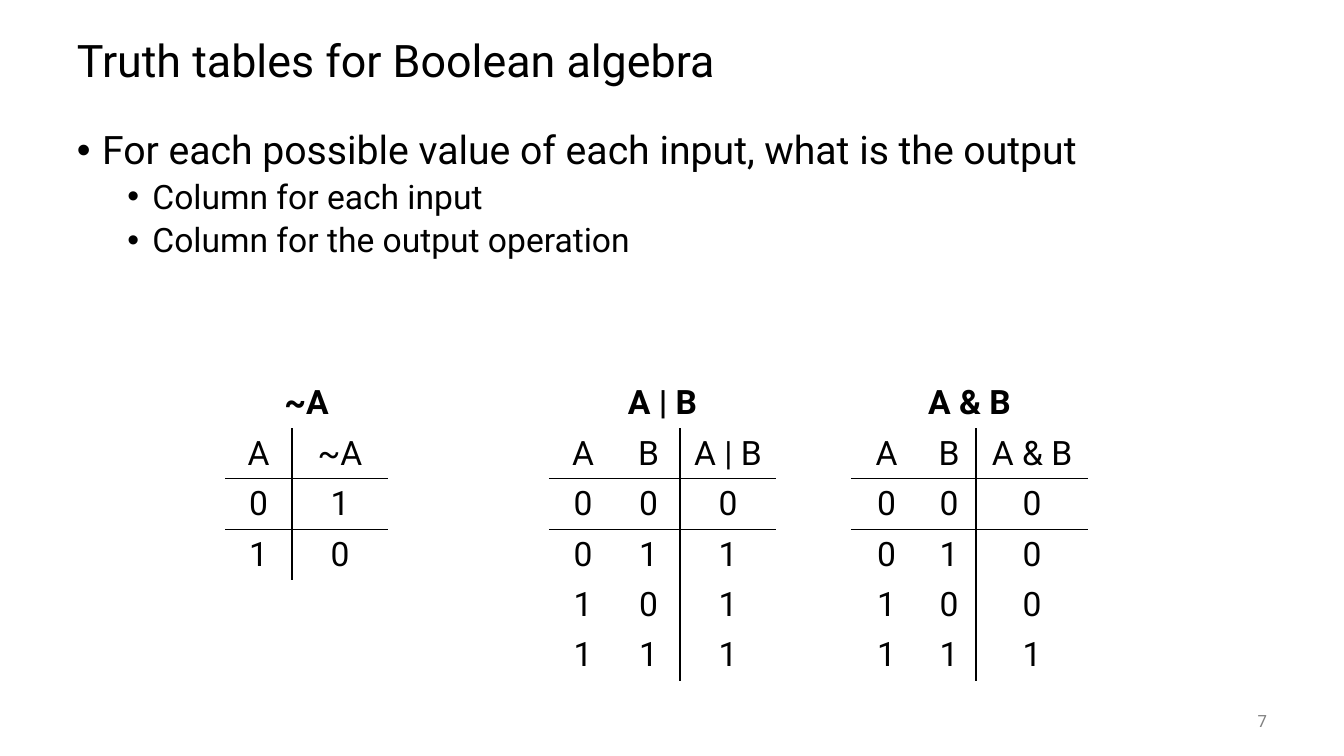
from itertools import product

from lxml.etree import SubElement
from pptx import Presentation
from pptx.dml.color import RGBColor
from pptx.enum.text import MSO_ANCHOR, PP_ALIGN
from pptx.oxml import parse_xml
from pptx.oxml.ns import nsdecls, qn
from pptx.util import Emu, Pt

EMU_PER_PX = 914400 / 100.8
FONT = "Roboto"
BLACK = "000000"
GRAY = "808080"
NO_STYLE_NO_GRID = "{2D5ABB26-0587-4C30-8999-92F81FD0307C}"
ROW_HEIGHT = 45
TABLE_TOP = 378

BULLETS = [
    (0, "For each possible value of each input, what is the output"),
    (1, "Column for each input"),
    (1, "Column for the output operation"),
]
TRUTH_TABLES = [
    (851, [71, 54, 112], ["A", "B"], "A & B", lambda a, b: a & b),
    (549, [68, 63, 96], ["A", "B"], "A | B", lambda a, b: a | b),
    (225, [67, 96], ["A"], "~A", lambda a: 1 - a),
]


def px(length):
    """Turn pixels into EMU."""
    return Emu(round(length * EMU_PER_PX))


def color(hex_string):
    """Turn a hex string into a colour."""
    return RGBColor.from_string(hex_string)


def add_run(paragraph, text, size, hex_color=BLACK, bold=False):
    """Add one styled run to a paragraph."""
    run = paragraph.add_run()
    run.text = text
    run.font.name = FONT
    run.font.size = Pt(size)
    run.font.bold = bold
    run.font.color.rgb = color(hex_color)


def add_text_frame(slide, box, anchor):
    """Add a wrapping text box and return its text frame."""
    text_frame = slide.shapes.add_textbox(*map(px, box)).text_frame
    text_frame.word_wrap = True
    text_frame.vertical_anchor = anchor
    return text_frame


def add_title(slide, box, text):
    """Place the slide title in the box."""
    paragraph = add_text_frame(slide, box, MSO_ANCHOR.MIDDLE).paragraphs[0]
    paragraph.line_spacing = 0.9
    add_run(paragraph, text, 32)


def add_bullets(slide, box, bullets):
    """Place the two-level bullet list in the box."""
    text_frame = add_text_frame(slide, box, MSO_ANCHOR.TOP)
    for index, (level, text) in enumerate(bullets):
        paragraph = text_frame.add_paragraph() if index else text_frame.paragraphs[0]
        paragraph.level = level
        paragraph.line_spacing = 0.9
        if index:
            paragraph.space_before = Pt(5)
        properties = paragraph._p.get_or_add_pPr()
        properties.set("marL", str(Pt(18 + 36 * level)))
        properties.set("indent", str(-Pt(18)))
        SubElement(properties, qn("a:buFont"), typeface="Arial")
        SubElement(properties, qn("a:buChar"), char="•")
        add_run(paragraph, text, 28 - 4 * level)


def add_page_number(slide, box, number):
    """Place the right-aligned page number in the box."""
    paragraph = add_text_frame(slide, box, MSO_ANCHOR.MIDDLE).paragraphs[0]
    paragraph.alignment = PP_ALIGN.RIGHT
    add_run(paragraph, number, 12, GRAY)


def set_borders(cell, sides):
    """Draw a thin black line on the given sides of a cell."""
    properties = cell._tc.get_or_add_tcPr()
    for position, side in enumerate(sides):
        properties.insert(position, parse_xml(
            f'<a:ln{side} {nsdecls("a")} w="{Pt(1)}"><a:solidFill>'
            f'<a:srgbClr val="{BLACK}"/></a:solidFill></a:ln{side}>'))


def add_truth_table(slide, left, top, widths, inputs, expression, operation):
    """Place a truth table whose rows are worked out from the operation."""
    rows = [[expression] + [""] * len(inputs), inputs + [expression]]
    for values in product((0, 1), repeat=len(inputs)):
        rows.append([str(value) for value in (*values, operation(*values))])
    output_column = len(inputs)
    frame = slide.shapes.add_table(
        len(rows), len(widths), px(left), px(top),
        px(sum(widths)), px(ROW_HEIGHT * len(rows)))
    table = frame.table
    table.first_row = False
    table.horz_banding = False
    table._tbl.tblPr.find(qn("a:tableStyleId")).text = NO_STYLE_NO_GRID
    for column, width in zip(table.columns, widths):
        column.width = px(width)
    table.cell(0, 0).merge(table.cell(0, output_column))
    for row_index, row in enumerate(rows):
        table.rows[row_index].height = px(ROW_HEIGHT)
        for column_index, text in enumerate(row):
            cell = table.cell(row_index, column_index)
            cell.fill.background()
            if cell.is_spanned:
                continue
            cell.vertical_anchor = MSO_ANCHOR.MIDDLE
            paragraph = cell.text_frame.paragraphs[0]
            paragraph.alignment = PP_ALIGN.CENTER
            add_run(paragraph, text, 24, bold=row_index == 0)
            bordered = {
                "L": row_index > 0 and column_index == output_column,
                "R": row_index > 0 and column_index == output_column - 1,
                "T": row_index == 2,
                "B": row_index == 1,
            }
            set_borders(cell, [side for side, drawn in bordered.items() if drawn])


def main():
    """Build the slide and save it."""
    presentation = Presentation()
    presentation.slide_width = px(1344)
    presentation.slide_height = px(756)
    slide = presentation.slides.add_slide(presentation.slide_layouts[6])
    add_title(slide, (67, 25, 1210, 76), "Truth tables for Boolean algebra")
    add_bullets(slide, (67, 126, 1210, 554), BULLETS)
    add_page_number(slide, (1176, 701, 101, 40), "7")
    for left, widths, inputs, expression, operation in TRUTH_TABLES:
        add_truth_table(slide, left, TABLE_TOP, widths, inputs, expression, operation)
    presentation.save("out.pptx")


if __name__ == "__main__":
    main()
